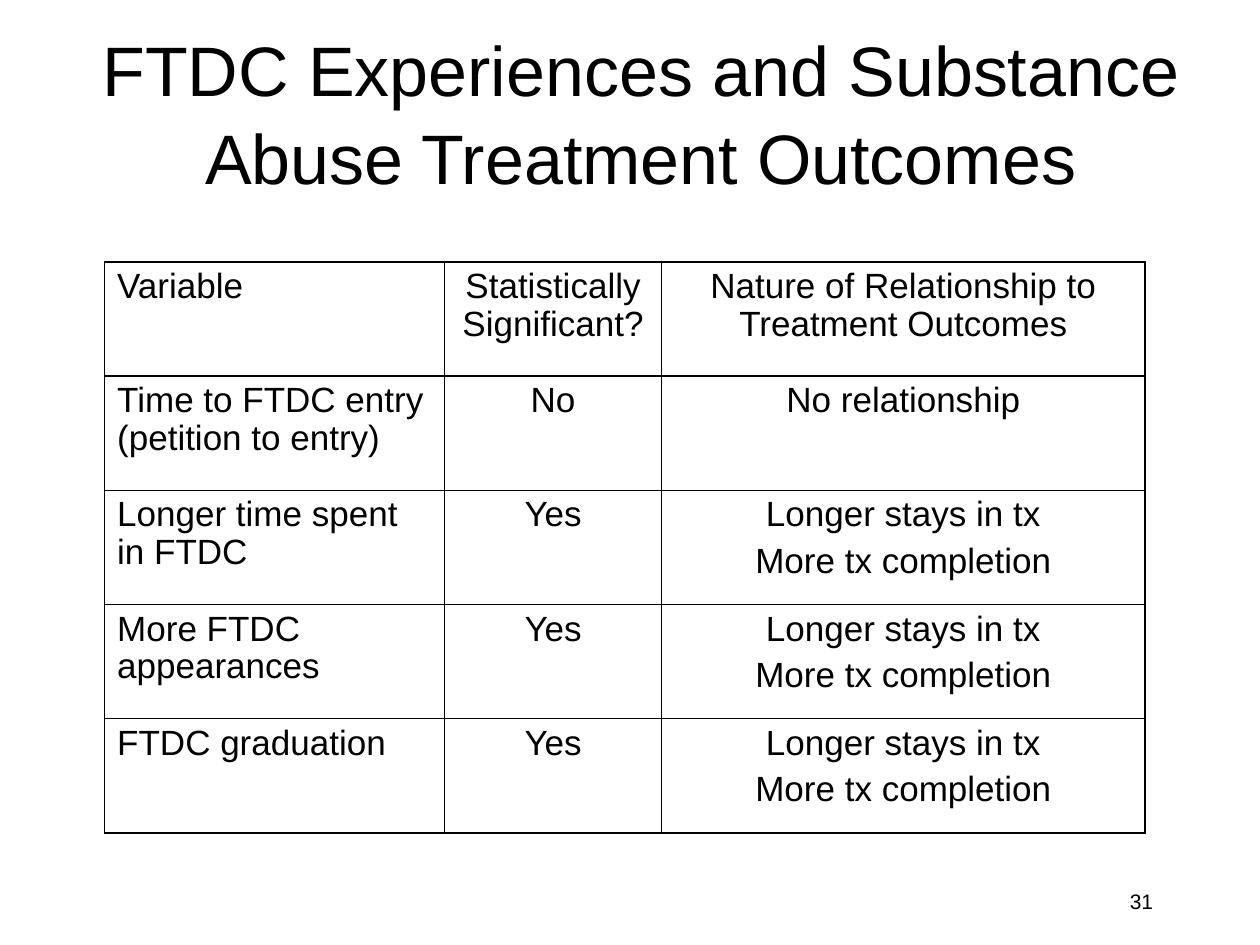
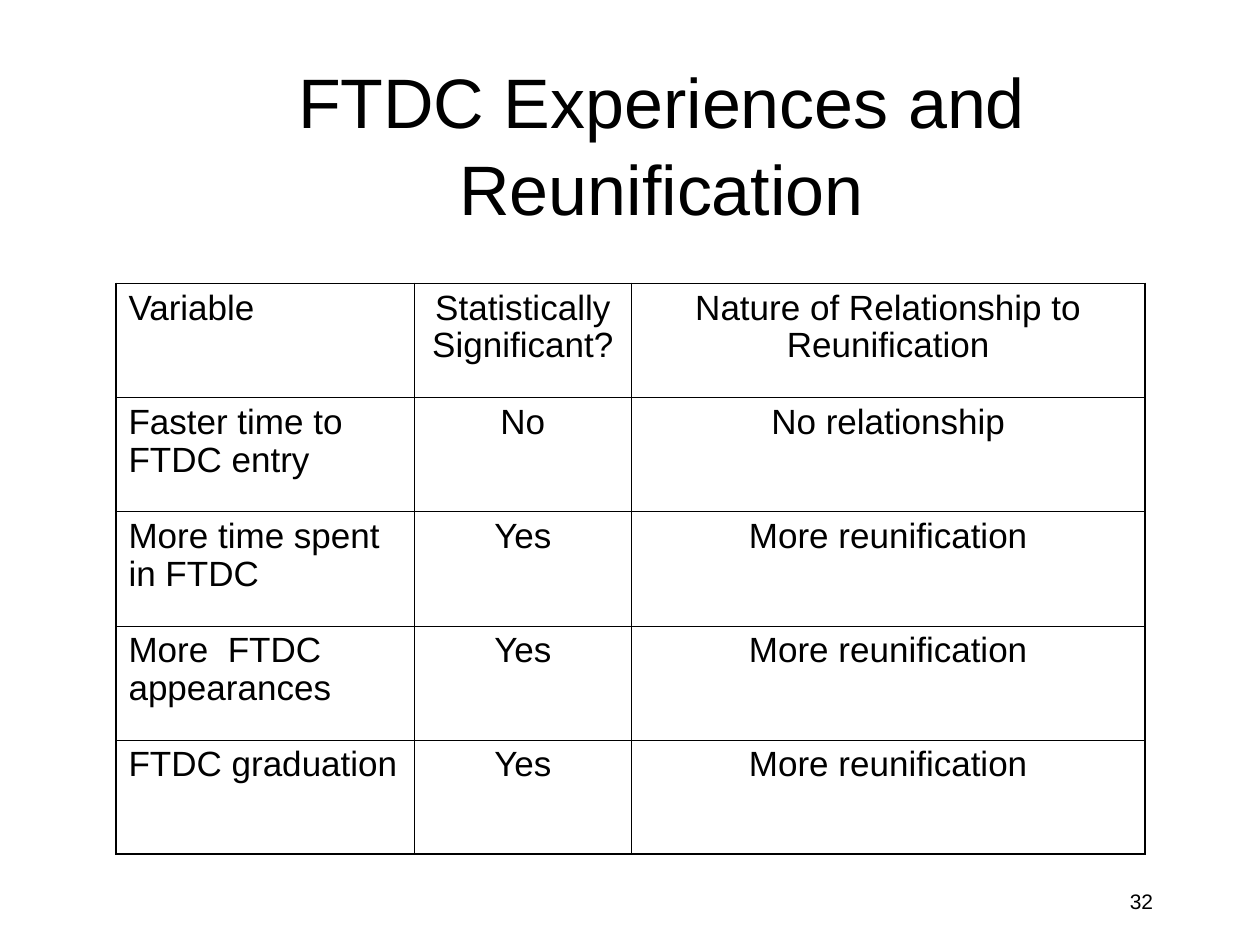
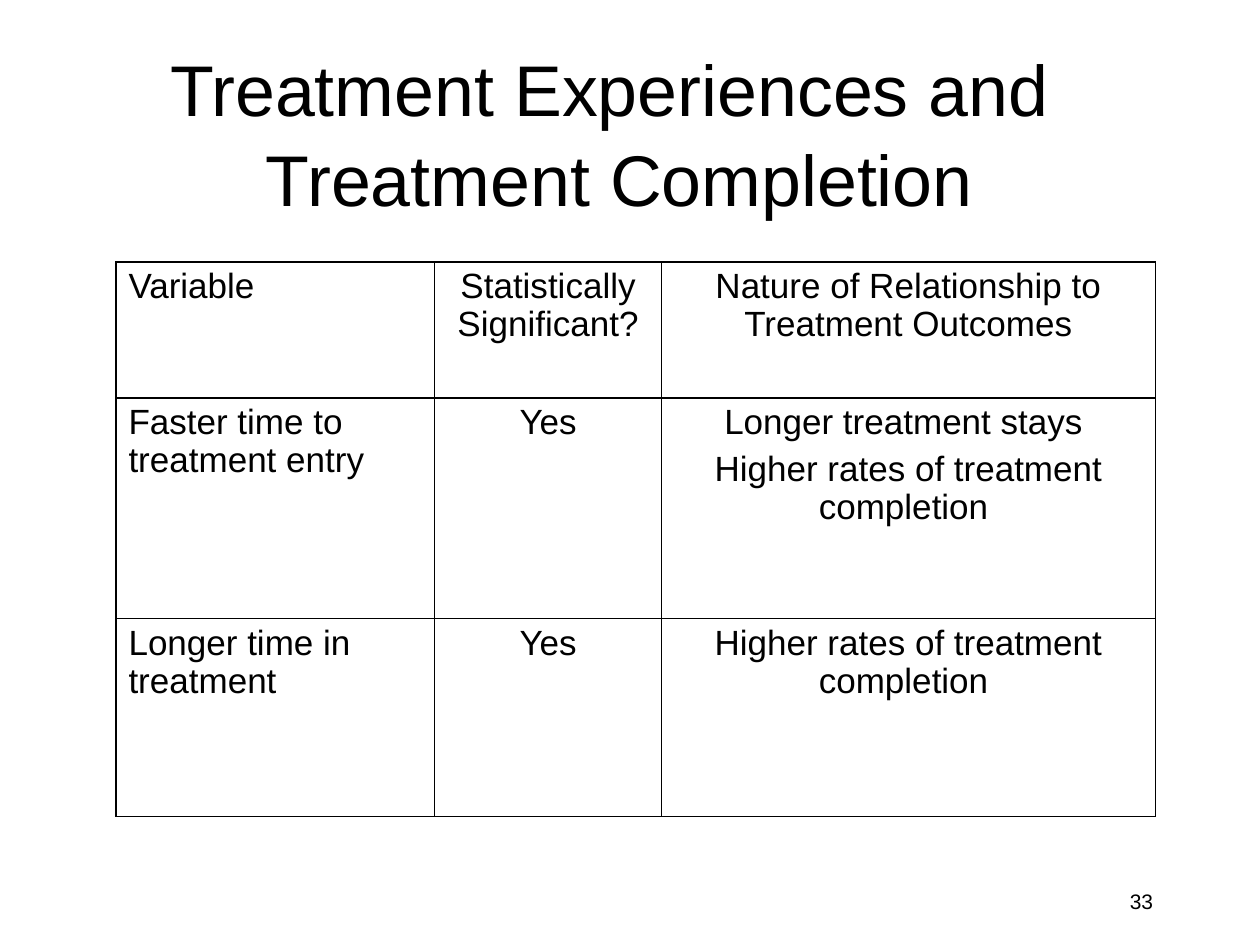
import dataclasses

import pptx
import pptx.dml.color
import pptx.enum.text
import pptx.oxml
import pptx.oxml.ns
import pptx.util

Inches = pptx.util.Inches
Pt = pptx.util.Pt
Align = pptx.enum.text.PP_ALIGN


@dataclasses.dataclass(frozen=True)
class Theme:
    font: str = "Arial"
    ink: str = "000000"
    title: float = 40
    cell: float = 20
    number: float = 12
    thick: float = 1.08
    thin: float = 0.45
    title_lead: float = 1.04
    cell_lead: float = 0.97
    gap: float = 5


class Deck:
    def __init__(self, theme):
        self.theme = theme
        self.prs = pptx.Presentation()
        self.prs.slide_width = Inches(10)
        self.prs.slide_height = Inches(7.5)
        self.slide = None

    def start(self):
        layout = self.prs.slide_layouts.get_by_name("Title Only")
        self.slide = self.prs.slides.add_slide(layout)

    def style(self, para, size, align):
        para.alignment = align
        para.font.name = self.theme.font
        para.font.size = Pt(size)
        para.font.color.rgb = pptx.dml.color.RGBColor.from_string(self.theme.ink)

    def title(self, text, left, top, width, size):
        shape = self.slide.shapes.title
        shape.left, shape.top = Inches(left), Inches(top)
        shape.width, shape.height = Inches(width), Inches(0.92)
        frame = shape.text_frame
        frame.auto_size = pptx.enum.text.MSO_AUTO_SIZE.NONE
        frame.vertical_anchor = pptx.enum.text.MSO_ANCHOR.MIDDLE
        frame.text = text
        para = frame.paragraphs[0]
        self.style(para, size, Align.CENTER)
        para.line_spacing = self.theme.title_lead

    def number(self, value):
        box = self.slide.shapes.add_textbox(
            Inches(7.17), Inches(7), Inches(2.08), Inches(0.33))
        box.text_frame.word_wrap = True
        box.text_frame.text = str(value)
        self.style(box.text_frame.paragraphs[0], self.theme.number, Align.RIGHT)

    def border(self, cell, side, width):
        line = pptx.oxml.parse_xml(
            f'<a:ln{side} {pptx.oxml.ns.nsdecls("a")} w="{int(Pt(width))}">'
            f'<a:solidFill><a:srgbClr val="{self.theme.ink}"/></a:solidFill>'
            f'</a:ln{side}>')
        cell._tc.get_or_add_tcPr().append(line)

    def fill(self, cell, text, align):
        cell.text_frame.text = text
        for index, para in enumerate(cell.text_frame.paragraphs):
            self.style(para, self.theme.cell, align)
            para.line_spacing = self.theme.cell_lead
            if index:
                para.space_before = Pt(self.theme.gap)

    def table(self, rows, left, top, widths, heights):
        """Thick lines go round the table and under its header, thin ones between cells."""
        frame = self.slide.shapes.add_table(
            len(rows), len(widths), Inches(left), Inches(top),
            Inches(sum(widths)), Inches(sum(heights)))
        table = frame.table
        table.first_row = table.horz_banding = False
        for column, width in zip(table.columns, widths):
            column.width = Inches(width)
        for row, height in zip(table.rows, heights):
            row.height = Inches(height)
        last_row, last_col = len(rows) - 1, len(widths) - 1
        for r, texts in enumerate(rows):
            for c, text in enumerate(texts):
                cell = table.cell(r, c)
                self.fill(cell, text, Align.CENTER if c else Align.LEFT)
                bold = {"L": c == 0, "R": c == last_col,
                        "T": r <= 1, "B": r in (0, last_row)}
                for side, thick in bold.items():
                    self.border(cell, side,
                                self.theme.thick if thick else self.theme.thin)
                cell.fill.background()


def header(outcome):
    return ("Variable", "Statistically Significant?",
            f"Nature of Relationship to {outcome}")


def main():
    theme = Theme()
    deck = Deck(theme)
    even = [4.53 / 5] * 5
    stays = "Longer stays in tx\nMore tx completion"
    more = "More reunification"
    rates = "Higher rates of treatment completion "

    deck.start()
    deck.number(31)
    deck.table([
        header("Treatment Outcomes"),
        ("Time to FTDC entry (petition to entry)", "No", "No relationship"),
        ("Longer time spent in FTDC", "Yes", stays),
        ("More FTDC appearances", "Yes", stays),
        ("FTDC graduation", "Yes", stays),
    ], 0.83, 2.08, [2.7, 1.72, 3.84], even)
    deck.title("FTDC Experiences and Substance Abuse Treatment Outcomes",
               0.5, 0.42, 9.17, theme.title)

    deck.start()
    deck.title("FTDC Experiences and Reunification", 1, 0.67, 8.5, theme.title)
    deck.number(32)
    deck.table([
        header("Reunification"),
        ("Faster time to FTDC entry", "No", "No relationship"),
        ("More time spent in FTDC", "Yes", more),
        ("More  FTDC appearances", "Yes", more),
        ("FTDC graduation", "Yes", more),
    ], 0.92, 2.25, [2.37, 1.72, 4.08], even)

    deck.start()
    deck.number(33)
    deck.title("Treatment Experiences and \vTreatment Completion",
               0.67, 0.58, 8.5, theme.title + 1)
    deck.table([
        header("Treatment Outcomes"),
        ("Faster time to treatment entry", "Yes",
         f"Longer treatment stays \n{rates}"),
        ("Longer time in treatment", "Yes", rates),
    ], 0.92, 2.08, [2.53, 1.8, 3.92], [1.08, 1.75, 1.57])

    deck.prs.save("out.pptx")


if __name__ == "__main__":
    main()
